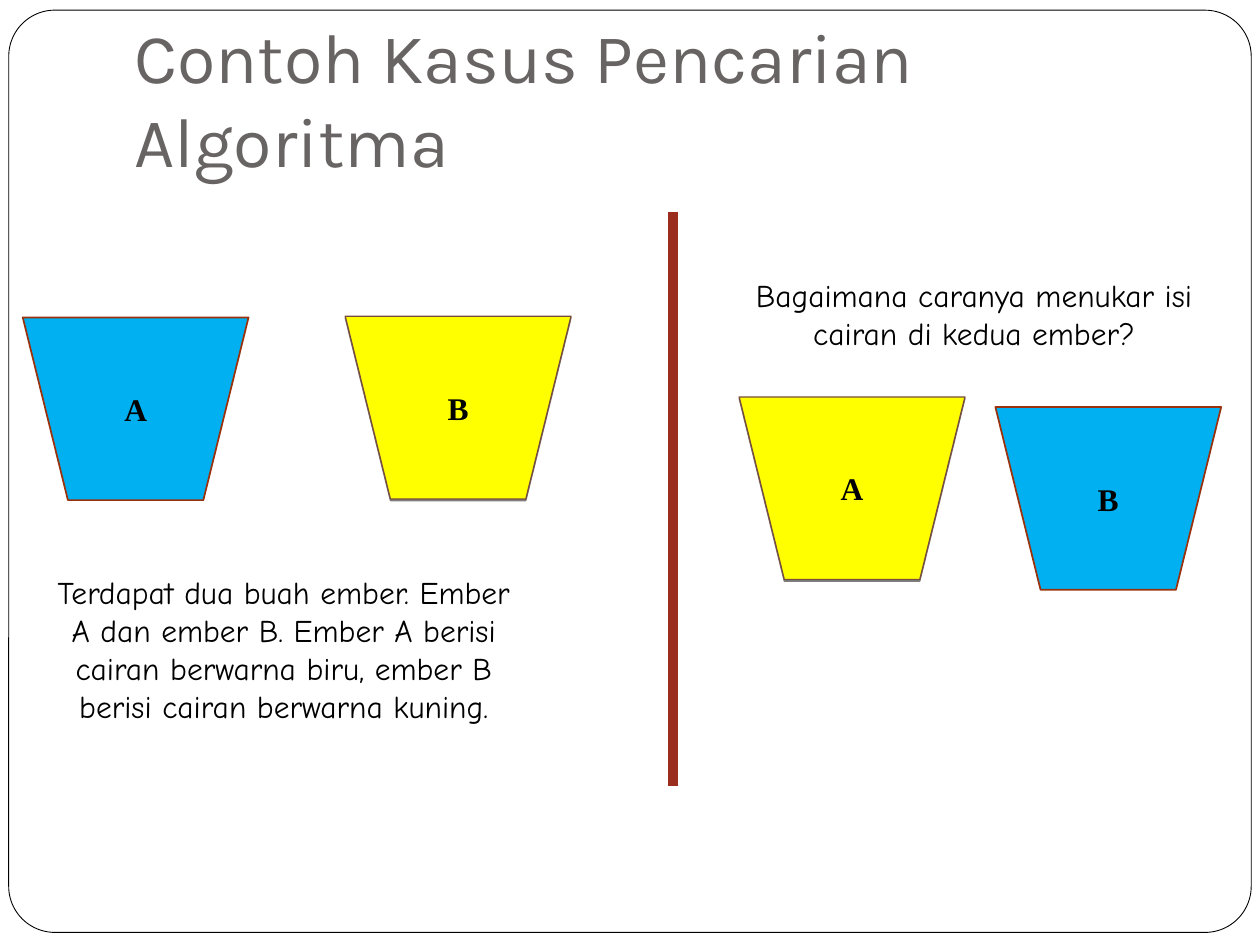
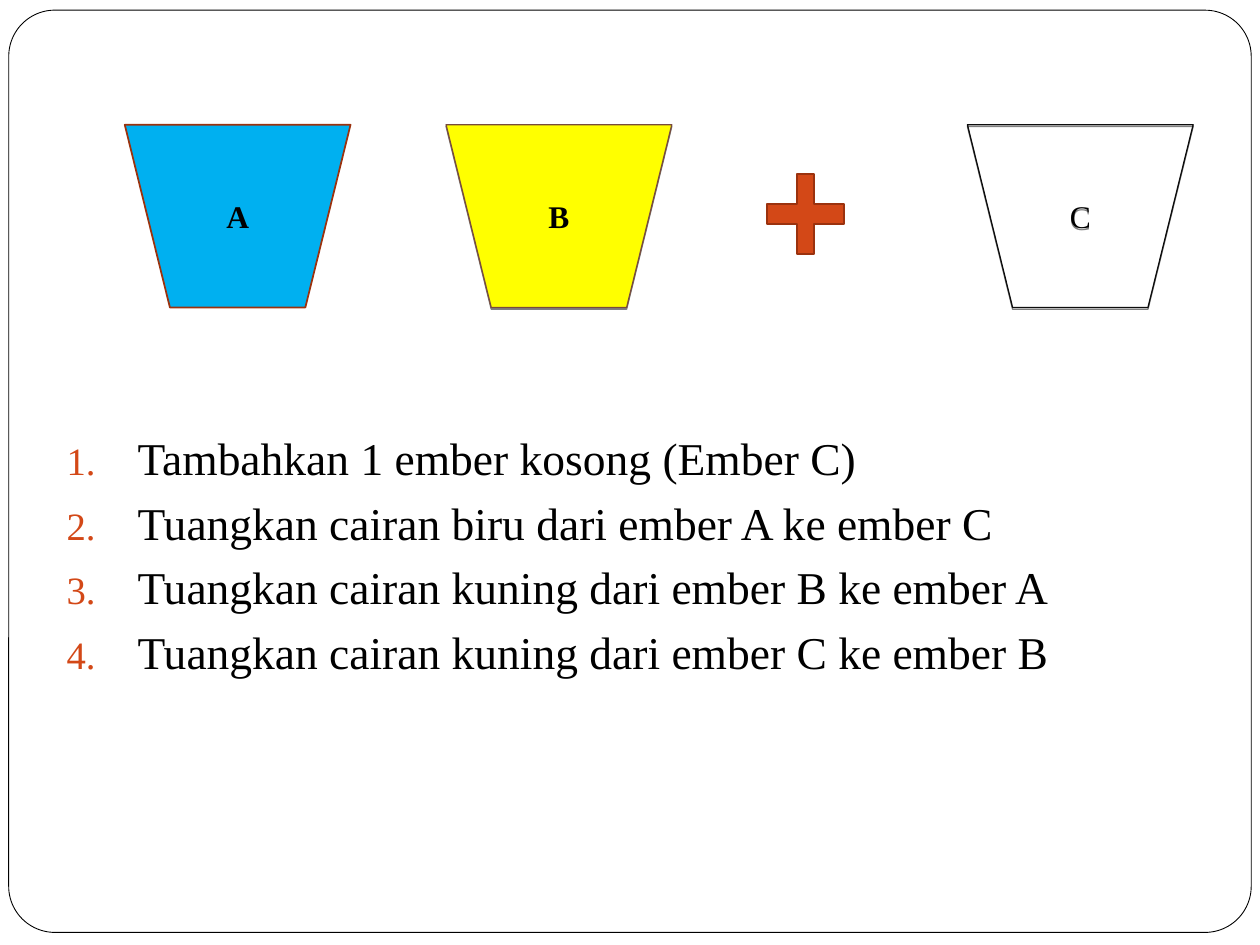
from lxml.etree import SubElement
from pptx import Presentation
from pptx.dml.color import RGBColor
from pptx.enum.shapes import MSO_CONNECTOR, MSO_SHAPE as Shape
from pptx.enum.text import MSO_ANCHOR as Anchor, MSO_AUTO_SIZE as AutoSize, PP_ALIGN as Align
from pptx.oxml.ns import qn
from pptx.util import Pt

COLORS = {
    "white": "FFFFFF", "black": "000000", "title": "696464",
    "blue": "00B0F0", "yellow": "FFFF00", "orange": "D34817",
    "rust": "9B320E", "brown": "784B3C", "ink": "0D0D0D", "divider": "9B2D1F",
}
TITLE_FONT, CAPTION_FONT, BODY_FONT = "Karla", "Comic Neue", "Times New Roman"
BUCKET_W, BUCKET_H = 129, 104.4
TITLE_ONLY, BLANK = 5, 6

# liquid: fill, outline, outline width, has shadow, bold label
LIQUIDS = {
    "blue": ("blue", "rust", 1, False, True),
    "yellow": ("yellow", "brown", 0.75, True, True),
    "empty": (None, "ink", 0.75, True, False),
}
STEPS = [
    "Tambahkan 1 ember kosong (Ember C)",
    "Tuangkan cairan biru dari ember A ke ember C",
    "Tuangkan cairan kuning dari ember B ke ember A",
    "Tuangkan cairan kuning dari ember C ke ember B",
]


def rgb(name):
    return RGBColor.from_string(COLORS[name])


def add_text(paragraph, text, font, size, color="black", bold=False):
    run = paragraph.add_run()
    run.text = text
    run.font.name, run.font.size, run.font.bold = font, Pt(size), bold
    run.font.color.rgb = rgb(color)


def add_figure(slide, preset, box, fill, outline, width):
    figure = slide.shapes.add_shape(preset, *map(Pt, box))
    figure.shadow.inherit = False
    if fill:
        figure.fill.solid()
        figure.fill.fore_color.rgb = rgb(fill)
    else:
        figure.fill.background()
    figure.line.color.rgb = rgb(outline)
    figure.line.width = Pt(width)
    return figure


def add_framed_slide(prs, layout):
    slide = prs.slides.add_slide(prs.slide_layouts[layout])
    frame = add_figure(slide, Shape.ROUNDED_RECTANGLE, (5, 5.8, 710, 527), "white", "black", 0.5)
    frame.adjustments[0] = 0.05
    # Behind the title placeholder
    frame._element.getparent().insert(2, frame._element)
    return slide


def add_bucket(slide, left, top, label, liquid):
    fill, outline, width, shadowed, bold = LIQUIDS[liquid]
    bucket = add_figure(slide, Shape.FLOWCHART_MANUAL_OPERATION,
                        (left, top, BUCKET_W, BUCKET_H), fill, outline, width)
    if shadowed:
        effects = bucket._element.spPr.find(qn("a:effectLst"))
        shadow = SubElement(effects, qn("a:outerShdw"), blurRad="0", dist=str(Pt(1)),
                            dir="5400000", rotWithShape="0")
        tint = SubElement(shadow, qn("a:srgbClr"), val=COLORS["black"])
        SubElement(tint, qn("a:alpha"), val="50000")
    bucket.text_frame.vertical_anchor = Anchor.MIDDLE
    paragraph = bucket.text_frame.paragraphs[0]
    paragraph.alignment = Align.CENTER
    add_text(paragraph, label, BODY_FONT, 18, bold=bold)


def add_caption(slide, left, top, height, text):
    caption = slide.shapes.add_textbox(Pt(left), Pt(top), Pt(279.4), Pt(height)).text_frame
    caption.word_wrap = True
    caption.auto_size = AutoSize.SHAPE_TO_FIT_TEXT
    caption.paragraphs[0].alignment = Align.CENTER
    add_text(caption.paragraphs[0], text, CAPTION_FONT, 18)


def add_title(slide, text):
    title = slide.shapes.title
    title.left, title.top, title.width, title.height = map(Pt, (69.8, 20.9, 612, 90))
    frame = title.text_frame
    frame.word_wrap, frame.auto_size = True, AutoSize.NONE
    frame.vertical_anchor, frame.margin_bottom = Anchor.BOTTOM, Pt(7.2)
    frame.paragraphs[0].alignment = Align.LEFT
    add_text(frame.paragraphs[0], text, TITLE_FONT, 40, "title")


def add_start_panel(slide, left, top):
    add_bucket(slide, left, top + 0.7, "A", "blue")
    add_bucket(slide, left + 184.3, top, "B", "yellow")
    add_caption(slide, left + 9.4, top + 143.3, 93.6,
                "Terdapat dua buah ember. Ember A dan ember B. Ember A berisi cairan "
                "berwarna biru, ember B berisi cairan berwarna kuning.")


def add_question_panel(slide, left, top):
    add_caption(slide, left, top, 50.4, "Bagaimana caranya menukar isi cairan di kedua ember?")
    add_bucket(slide, left + 5.5, top + 72.7, "A", "yellow")
    add_bucket(slide, left + 151.9, top + 78.5, "B", "blue")


def add_divider(slide, x, top, bottom):
    divider = slide.shapes.add_connector(MSO_CONNECTOR.STRAIGHT, Pt(x), Pt(top), Pt(x), Pt(bottom))
    divider.line.color.rgb = rgb("divider")
    divider.line.width = Pt(6)
    SubElement(divider._element.spPr, qn("a:effectLst"))


def add_bucket_row(slide, left, top):
    add_bucket(slide, left, top, "A", "blue")
    add_bucket(slide, left + 183.6, top, "B", "yellow")
    plus = add_figure(slide, Shape.CROSS, (left + 367.2, top + 28, 44, 46), "orange", "rust", 1)
    plus.adjustments[0] = 0.39
    add_bucket(slide, left + 481.5, top, "C", "empty")


def add_steps(slide, left, top, width, height):
    frame = slide.shapes.add_textbox(*map(Pt, (left, top, width, height))).text_frame
    frame.word_wrap = True
    frame.margin_top = Pt(9.4)
    for index, step in enumerate(STEPS):
        paragraph = frame.add_paragraph() if index else frame.paragraphs[0]
        paragraph.space_before = Pt(5.8 if index else 0)
        # Orange numbering with a hanging indent
        props = paragraph._p.get_or_add_pPr()
        props.set("marL", str(Pt(40.5)))
        props.set("indent", str(-Pt(40.5)))
        number_color = SubElement(props, qn("a:buClr"))
        SubElement(number_color, qn("a:srgbClr"), val=COLORS["orange"])
        SubElement(props, qn("a:buSzPct"), val="85000")
        SubElement(props, qn("a:buFont"), typeface=BODY_FONT)
        SubElement(props, qn("a:buAutoNum"), type="arabicPeriod")
        add_text(paragraph, step, BODY_FONT, 26)


def build_case_slide(prs):
    slide = add_framed_slide(prs, TITLE_ONLY)
    add_title(slide, "Contoh Kasus Pencarian Algoritma")
    add_start_panel(slide, 13, 180.7)
    add_question_panel(slide, 416.9, 154.1)
    add_divider(slide, 384.5, 121, 449.3)


def build_solution_slide(prs):
    slide = add_framed_slide(prs, BLANK)
    add_bucket_row(slide, 71.3, 71.3)
    add_steps(slide, 31, 236.2, 670, 184.3)


def main():
    prs = Presentation()
    prs.slide_width, prs.slide_height = Pt(720), Pt(540)
    build_case_slide(prs)
    build_solution_slide(prs)
    prs.save("out.pptx")


if __name__ == "__main__":
    main()
